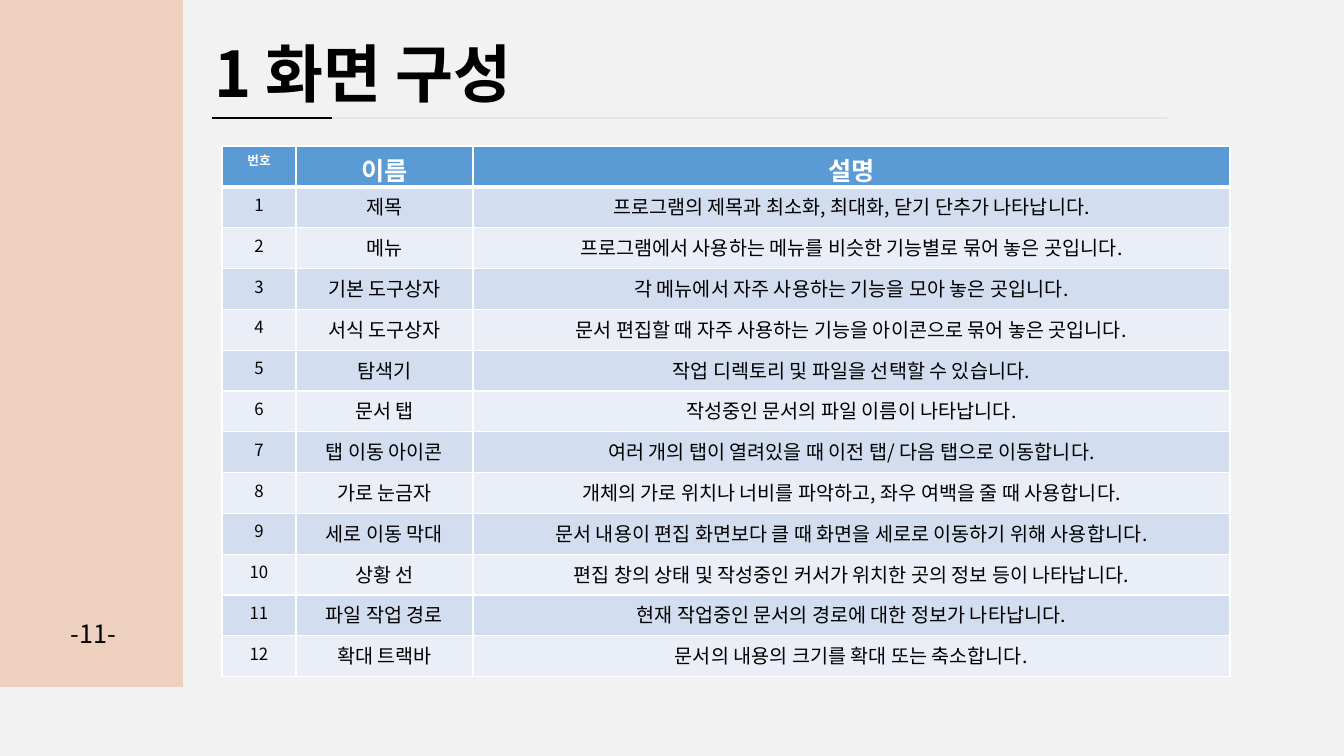
from lxml import etree
from pptx import Presentation
from pptx.dml.color import RGBColor
from pptx.enum.shapes import MSO_CONNECTOR, MSO_SHAPE
from pptx.enum.text import MSO_ANCHOR, MSO_AUTO_SIZE, PP_ALIGN
from pptx.oxml.ns import qn
from pptx.util import Emu, Pt

# Content
TITLE = "1 화면 구성"
PAGE_NUMBER = "-11-"
HEADER = ("번호", "이름", "설명")
SCREEN_PARTS = [
    ("제목", "프로그램의 제목과 최소화, 최대화, 닫기 단추가 나타납니다."),
    ("메뉴", "프로그램에서 사용하는 메뉴를 비슷한 기능별로 묶어 놓은 곳입니다."),
    ("기본 도구상자", "각 메뉴에서 자주 사용하는 기능을 모아 놓은 곳입니다."),
    ("서식 도구상자", "문서 편집할 때 자주 사용하는 기능을 아이콘으로 묶어 놓은 곳입니다."),
    ("탐색기", "작업 디렉토리 및 파일을 선택할 수 있습니다."),
    ("문서 탭", "작성중인 문서의 파일 이름이 나타납니다."),
    ("탭 이동 아이콘", "여러 개의 탭이 열려있을 때 이전 탭/ 다음 탭으로 이동합니다."),
    ("가로 눈금자", "개체의 가로 위치나 너비를 파악하고, 좌우 여백을 줄 때 사용합니다."),
    ("세로 이동 막대", "문서 내용이 편집 화면보다 클 때 화면을 세로로 이동하기 위해 사용합니다."),
    ("상황 선", "편집 창의 상태 및 작성중인 커서가 위치한 곳의 정보 등이 나타납니다."),
    ("파일 작업 경로", "현재 작업중인 문서의 경로에 대한 정보가 나타납니다."),
    ("확대 트랙바", "문서의 내용의 크기를 확대 또는 축소합니다."),
]

# Style
FONT = "Noto Sans CJK KR"
BLACK = RGBColor(0x00, 0x00, 0x00)
WHITE = RGBColor(0xFF, 0xFF, 0xFF)
BACKGROUND = RGBColor(0xF2, 0xF2, 0xF2)
SIDEBAR = RGBColor(0xED, 0xD0, 0xBE)
RULE_GRAY = RGBColor(0xE5, 0xE5, 0xE5)
HEADER_BLUE = RGBColor(0x5B, 0x9B, 0xD5)
BANDS = (RGBColor(0xD2, 0xDE, 0xEF), RGBColor(0xEA, 0xEF, 0xF7))
LEFT, CENTER = PP_ALIGN.LEFT, PP_ALIGN.CENTER
TOP = MSO_ANCHOR.TOP
FIT_SHAPE = MSO_AUTO_SIZE.SHAPE_TO_FIT_TEXT
STRAIGHT, RECTANGLE = MSO_CONNECTOR.STRAIGHT, MSO_SHAPE.RECTANGLE
HEADER_SIZES = (9, 18, 18)
BODY_SIZES = (12, 14, 14)

# Layout in px
TABLE_LEFT, TABLE_TOP = 222, 146
COLUMN_WIDTHS = (74, 177, 757)
HEADER_HEIGHT, BODY_HEIGHT = 41, 490
RULE_Y = 118
RULES = [(211, 1167, RULE_GRAY), (212, 332, BLACK)]


def px(length):
    return Emu(round(length * 914400 / 100.8))


def write(frame, text, size, color, bold=False, align=LEFT):
    frame.text = text
    paragraph = frame.paragraphs[0]
    paragraph.alignment = align
    font = paragraph.font
    font.name, font.size, font.bold = FONT, Pt(size), bold
    font.color.rgb = color
    # East Asian typeface
    defaults = paragraph._p.pPr.find(qn("a:defRPr"))
    etree.SubElement(defaults, qn("a:ea")).set("typeface", FONT)
    return paragraph


def add_borders(cell, bottom_width):
    properties = cell._tc.get_or_add_tcPr()
    widths = {"a:lnL": 1, "a:lnR": 1, "a:lnT": 1, "a:lnB": bottom_width}
    for position, (tag, width) in enumerate(widths.items()):
        line = etree.Element(qn(tag), w=str(Pt(width)))
        fill = etree.SubElement(line, qn("a:solidFill"))
        etree.SubElement(fill, qn("a:srgbClr"), val=str(WHITE))
        properties.insert(position, line)


def add_title(slide):
    title = slide.shapes.title
    title.left, title.top, title.width, title.height = map(px, (204, -8, 690, 114))
    frame = title.text_frame
    frame.word_wrap, frame.auto_size, frame.vertical_anchor = True, FIT_SHAPE, TOP
    write(frame, TITLE, 45, BLACK, bold=True).line_spacing = 1.5


def add_rules(slide):
    for start, end, color in RULES:
        rule = slide.shapes.add_connector(
            STRAIGHT, px(start), px(RULE_Y), px(end), px(RULE_Y))
        rule.line.color.rgb, rule.line.width = color, Pt(2)
        etree.SubElement(rule._element.spPr, qn("a:effectLst"))


def add_sidebar(slide):
    sidebar = slide.shapes.add_shape(RECTANGLE, 0, 0, px(183), px(687))
    sidebar.shadow.inherit = False
    sidebar.fill.solid()
    sidebar.fill.fore_color.rgb = SIDEBAR
    sidebar.line.fill.background()
    frame = slide.shapes.add_textbox(px(61), px(613), px(92), px(40)).text_frame
    frame.word_wrap, frame.auto_size = True, FIT_SHAPE
    write(frame, PAGE_NUMBER, 18, BLACK)


def add_parts_table(slide):
    rows = [HEADER] + [
        (str(number), *part) for number, part in enumerate(SCREEN_PARTS, 1)]
    table = slide.shapes.add_table(
        len(rows), len(HEADER), px(TABLE_LEFT), px(TABLE_TOP),
        px(sum(COLUMN_WIDTHS)), px(HEADER_HEIGHT + BODY_HEIGHT)).table
    for column, width in zip(table.columns, COLUMN_WIDTHS):
        column.width = px(width)
    for row_index, texts in enumerate(rows):
        is_header = row_index == 0
        sizes = HEADER_SIZES if is_header else BODY_SIZES
        height = HEADER_HEIGHT if is_header else BODY_HEIGHT / len(SCREEN_PARTS)
        table.rows[row_index].height = px(height)
        for column_index, text in enumerate(texts):
            cell = table.cell(row_index, column_index)
            cell.fill.solid()
            cell.fill.fore_color.rgb = (
                HEADER_BLUE if is_header else BANDS[(row_index - 1) % 2])
            if is_header:
                cell.margin_bottom = 0
            write(cell.text_frame, text, sizes[column_index],
                  WHITE if is_header else BLACK, is_header, CENTER)
            add_borders(cell, 3 if is_header else 1)


def main():
    presentation = Presentation()
    presentation.slide_width, presentation.slide_height = px(1344), px(756)
    slide = presentation.slides.add_slide(presentation.slide_layouts[5])
    slide.background.fill.solid()
    slide.background.fill.fore_color.rgb = BACKGROUND
    add_title(slide)
    add_rules(slide)
    add_sidebar(slide)
    add_parts_table(slide)
    presentation.save("out.pptx")


if __name__ == "__main__":
    main()
